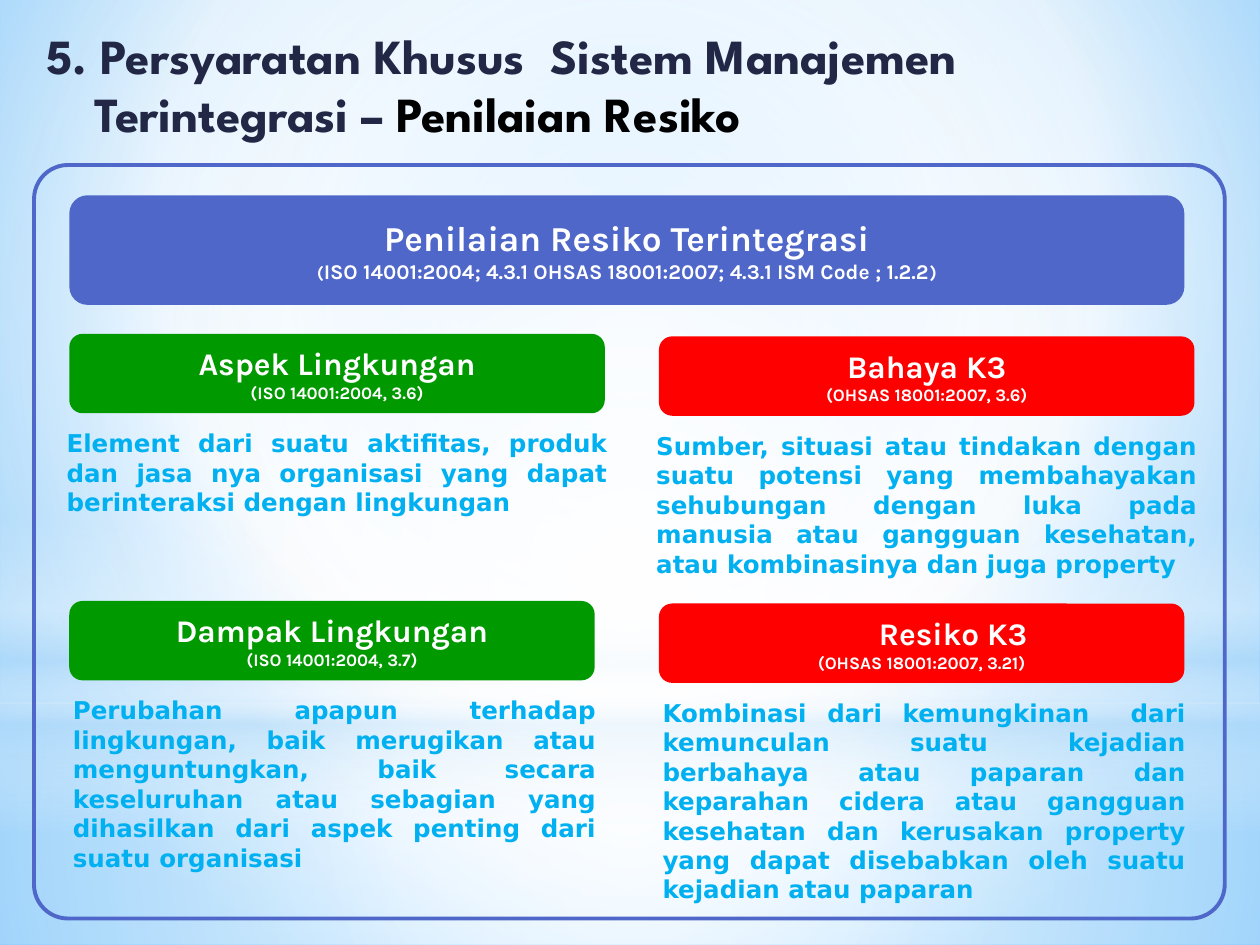
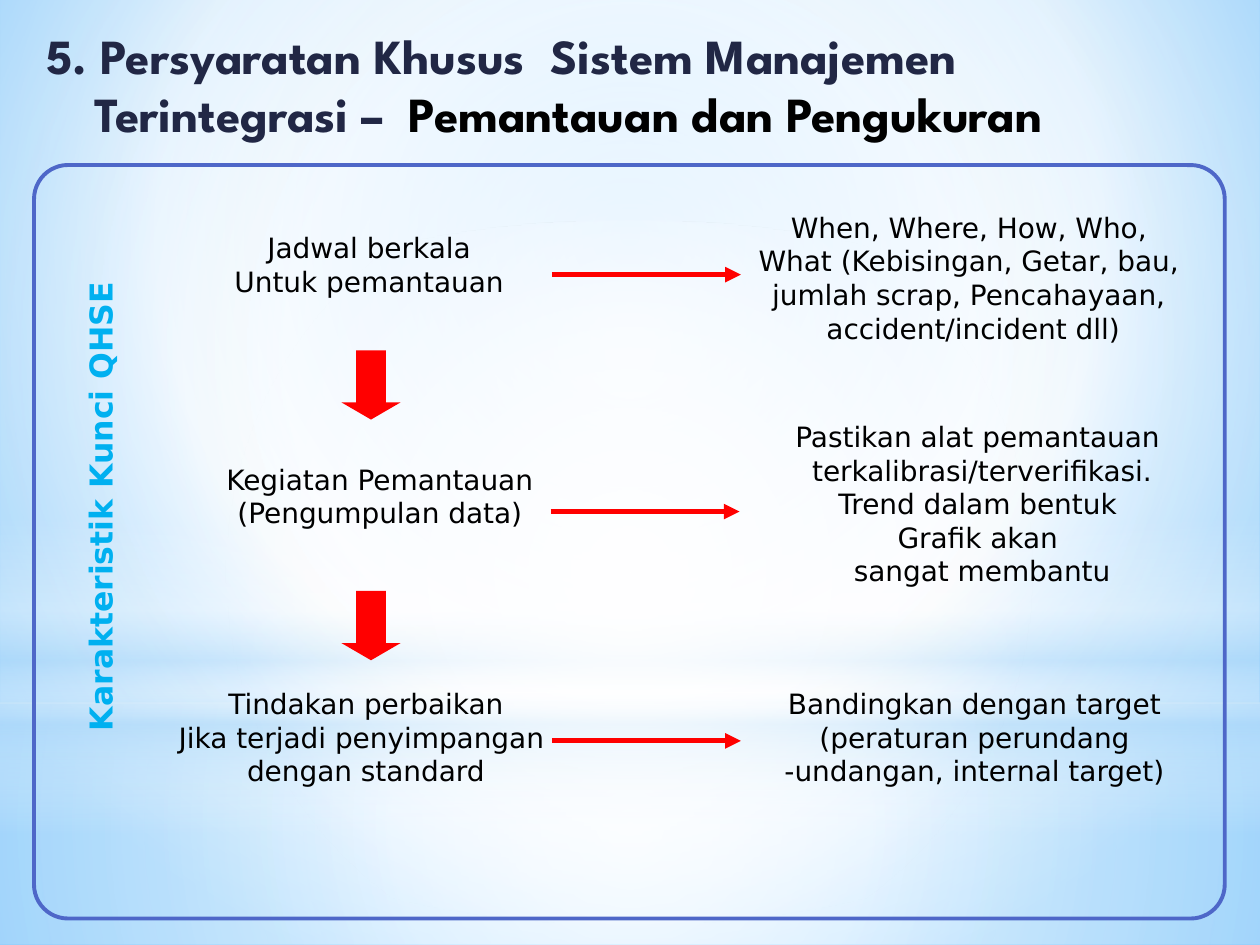
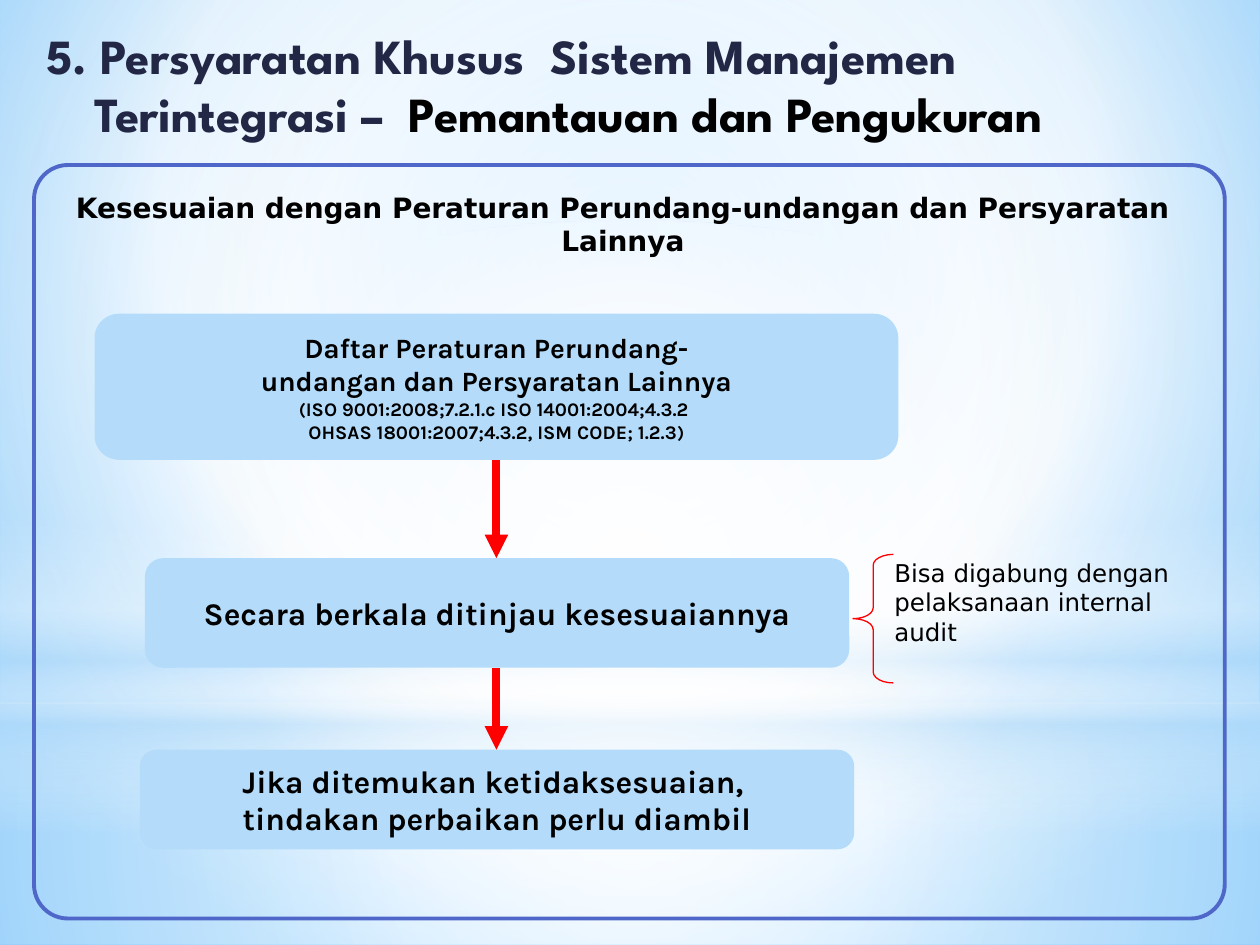
from dataclasses import dataclass

from pptx import Presentation
from pptx import oxml
from pptx import util as u
from pptx.dml.color import RGBColor
from pptx.enum import shapes, text
from pptx.oxml import ns

SCALE = 9144  # EMU in one px, 100 px to the inch


@dataclass(frozen=True)
class Theme:
    navy: str = "212745"
    black: str = "000000"
    white: str = "FFFFFF"
    indigo: str = "4E67C8"
    green: str = "009900"
    red: str = "FF0000"
    cyan: str = "00B0F0"
    pale: str = "B4DCFA"
    sky: str = "9ED5FF"
    deep_sky: str = "5BB9FF"
    title_font: str = "League Spartan"
    box_font: str = "Karla"
    body_font: str = "DejaVu Sans"
    title: float = 28
    banner: float = 20
    heading: float = 18
    step: float = 16
    body: float = 14
    citation: float = 12
    note: float = 11
    bracket: float = 10.5
    small: float = 10
    hanging: int = 38


@dataclass(frozen=True)
class Box:
    x: int
    y: int
    w: int
    h: int

    def inner(self, x, y, w, h):
        """Box whose offset is counted from this box's corner."""
        return Box(self.x + x, self.y + y, w, h)

    def emu(self):
        return [px(value) for value in (self.x, self.y, self.w, self.h)]


@dataclass(frozen=True)
class Run:
    text: str
    size: float = None
    color: str = None


@dataclass(frozen=True)
class Indented:
    """A second-level paragraph."""
    text: str
    margin: int = 50


THEME = Theme()
PAGE = Box(0, 0, 1000, 750)
PANEL = Box(27, 131, 945, 598)
TITLE = Box(27, 15, 945, 105)
CENTER, JUSTIFY = text.PP_ALIGN.CENTER, text.PP_ALIGN.JUSTIFY
ROUNDED = shapes.MSO_SHAPE.ROUNDED_RECTANGLE


def px(value):
    return u.Emu(int(value * SCALE))


def rgb(color):
    return RGBColor.from_string(color)


def write(frame, *paragraphs, size, font=THEME.body_font, color=THEME.black,
          bold=False, align=None, hanging=0, wrap=True):
    """Fill a text frame; a paragraph is a string, an Indented or a list of Runs."""
    frame.word_wrap = wrap
    for index, content in enumerate(paragraphs):
        paragraph = frame.paragraphs[0] if index == 0 else frame.add_paragraph()
        paragraph.alignment = align
        margin, indent = hanging, -hanging
        if isinstance(content, Indented):
            paragraph.level = 1
            margin, indent = content.margin, 0
        properties = paragraph._p.get_or_add_pPr()
        properties.set("marL", str(px(margin)))
        properties.set("indent", str(px(indent)))
        for part in content if isinstance(content, list) else [content]:
            part = part if isinstance(part, Run) else Run(getattr(part, "text", part))
            run = paragraph.add_run()
            run.text = part.text
            run.font.name = font
            run.font.size = u.Pt(part.size or size)
            run.font.bold = bold
            run.font.color.rgb = rgb(part.color or color)


def add_text(slide, box, *paragraphs, rotation=0, **style):
    shape = slide.shapes.add_textbox(*box.emu())
    shape.rotation = rotation
    write(shape.text_frame, *paragraphs, **style)
    shape.text_frame.auto_size = text.MSO_AUTO_SIZE.SHAPE_TO_FIT_TEXT


def add_shape(slide, kind, box, fill=None, line=None, width=1, adjustments=()):
    shape = slide.shapes.add_shape(kind, *box.emu())
    shape.shadow.inherit = False
    for index, value in enumerate(adjustments):
        shape.adjustments[index] = value
    if fill:
        shape.fill.solid()
        shape.fill.fore_color.rgb = rgb(fill)
    else:
        shape.fill.background()
    if line:
        shape.line.color.rgb = rgb(line)
        shape.line.width = u.Pt(width)
    else:
        shape.line.fill.background()
    return shape


def add_label(slide, box, fill, *paragraphs, size, color=THEME.white):
    """Rounded box with bold centred text."""
    frame = add_shape(slide, ROUNDED, box, fill).text_frame
    frame.vertical_anchor = text.MSO_ANCHOR.MIDDLE
    write(frame, *paragraphs, size=size, font=THEME.box_font, color=color,
          bold=True, align=CENTER, hanging=THEME.hanging, wrap=False)


def add_arrow(slide, start, end, width):
    ends = [px(value) for value in (*start, *end)]
    arrow = slide.shapes.add_connector(shapes.MSO_CONNECTOR.STRAIGHT, *ends)
    arrow.line.color.rgb = rgb(THEME.red)
    arrow.line.width = u.Pt(width)
    line = arrow.line._get_or_add_ln()
    line.append(oxml.parse_xml(f'<a:tailEnd {ns.nsdecls("a")} type="triangle"/>'))
    line.addnext(oxml.parse_xml(f'<a:effectLst {ns.nsdecls("a")}/>'))


def set_gradient(properties, stops, focus=None):
    """Replace a solid fill; stops are (position, colour, opacity) in percent."""
    marks = "".join(
        f'<a:gs pos="{place * 1000}"><a:srgbClr val="{color}">'
        f'<a:alpha val="{opacity * 1000}"/></a:srgbClr></a:gs>'
        for place, color, opacity in stops)
    direction = '<a:lin ang="5400000" scaled="0"/>'
    if focus:
        sides = " ".join(f'{side}="{value * 1000}"' for side, value in zip("ltrb", focus))
        direction = f'<a:path path="circle"><a:fillToRect {sides}/></a:path>'
    properties.replace(
        properties.find(ns.qn("a:solidFill")),
        oxml.parse_xml(f'<a:gradFill {ns.nsdecls("a")} rotWithShape="1">'
                       f'<a:gsLst>{marks}</a:gsLst>{direction}</a:gradFill>'))


def paint_master(master, slide):
    """Put the sky backdrop on the master, drawing its layers by way of a slide."""
    white, pale = THEME.white, THEME.pale
    middle = (50, 50, 50, 50)
    rectangle, oval = shapes.MSO_SHAPE.RECTANGLE, shapes.MSO_SHAPE.OVAL
    layers = [
        (rectangle, PAGE.inner(0, 558, PAGE.w, 192), middle,
         [(0, white, 91), (37, white, 76), (100, pale, 79)]),
        (rectangle, PAGE.inner(0, 0, PAGE.w, 558), middle,
         [(0, white, 89), (48, white, 62), (100, pale, 79)]),
        (rectangle, PAGE.inner(0, 412, PAGE.w, 250), None,
         [(0, white, 0), (29, white, 30), (45, pale, 40),
          (55, white, 26), (65, pale, 60), (100, white, 0)]),
        (oval, PAGE.inner(0, 175, PAGE.w, 558), middle,
         [(0, white, 100), (56, white, 0)]),
    ]
    master.background.fill.solid()
    set_gradient(master.element.xpath("./p:cSld/p:bg/p:bgPr")[0],
                 [(0, THEME.sky, 100), (60, white, 100), (100, THEME.deep_sky, 100)],
                 (20, 10, 20, 60))
    for number, (kind, box, focus, stops) in enumerate(layers, 101):
        layer = add_shape(slide, kind, box, white)
        set_gradient(layer.element.spPr, stops, focus)
        layer.element.nvSpPr.cNvPr.set("id", str(number))
        master.shapes.element.append(layer.element)


def add_frame_and_title(slide, topic, gap=" "):
    add_shape(slide, ROUNDED, PANEL, line=THEME.indigo, width=2.25, adjustments=[0.045])
    lead = "5. Persyaratan Khusus  Sistem Manajemen  Terintegrasi –" + gap
    add_text(slide, TITLE, [Run(lead), Run(topic, color=THEME.black)],
             size=THEME.title, font=THEME.title_font, color=THEME.navy,
             bold=True, hanging=THEME.hanging)


def add_definition(slide, box, fill, heading, clause, body, shift, body_box):
    """Coloured heading with its justified definition below."""
    add_label(slide, box, fill, heading, [Run(clause, THEME.small)], size=THEME.heading)
    add_text(slide, box.inner(-shift, 70, *body_box), body, size=THEME.body,
             color=THEME.cyan, bold=True, align=JUSTIFY)


def build_risk_slide(slide, panel):
    add_label(slide, panel.inner(28, 24, 885, 87), THEME.indigo,
              "Penilaian Resiko Terintegrasi",
              [Run("(", THEME.small),
               Run("ISO 14001:2004; 4.3.1 OHSAS 18001:2007; 4.3.1 ISM Code ; 1.2.2",
                   THEME.citation),
               Run(")", THEME.bracket)],
              size=THEME.banner)
    columns = [
        (28, 0, THEME.green, [
            ("Aspek Lingkungan", "(ISO 14001:2004, 3.6)", 81,
             "Element dari suatu aktifitas, produk dan jasa nya organisasi yang dapat "
             "berinteraksi dengan lingkungan"),
            ("Dampak Lingkungan", "(ISO 14001:2004, 3.7)", 151,
             "Perubahan apapun terhadap lingkungan, baik merugikan atau menguntungkan, "
             "baik secara keseluruhan atau sebagian yang dihasilkan dari aspek penting "
             "dari suatu organisasi")]),
        (496, 2, THEME.red, [
            ("Bahaya K3", "(OHSAS 18001:2007, 3.6)", 128,
             "Sumber, situasi atau tindakan dengan suatu potensi yang membahayakan "
             "sehubungan dengan luka pada manusia atau gangguan kesehatan, atau "
             "kombinasinya dan juga property"),
            (Indented("Resiko K3"), "(OHSAS 18001:2007, 3.21)", 175,
             "Kombinasi dari kemungkinan  dari kemunculan suatu kejadian berbahaya atau "
             "paparan dan keparahan cidera atau gangguan kesehatan dan kerusakan property "
             "yang dapat disebabkan oleh suatu kejadian atau paparan")]),
    ]
    rows = [(134, 425, 12, 449), (346, 417, 7, 435)]
    for x, drop, fill, definitions in columns:
        for row, (heading, clause, height, body) in zip(rows, definitions):
            y, width, shift, body_width = row
            add_definition(slide, panel.inner(x, y + drop, width, 63), fill,
                           heading, clause, body, shift, (body_width, height))


def build_monitoring_slide(slide, panel):
    add_text(slide, panel.inner(-187, 251, 479, 40), "Karakteristik Kunci QHSE",
             rotation=270, size=THEME.heading, color=THEME.cyan, bold=True, align=CENTER)
    rows = [
        ((149, 47, 234, 69), ["Jadwal berkala", "Untuk pemantauan"],
         (411, 87),
         (561, 31, 369, 134), ["When, Where, How, Who, ", "What (Kebisingan, Getar, bau, ",
                               "jumlah scrap, Pencahayaan, ", "accident/incident dll)"]),
        ((142, 231, 265, 69), ["Kegiatan Pemantauan", "(Pengumpulan data)"],
         (410, 275),
         (583, 197, 339, 165), ["Pastikan alat pemantauan ", "terkalibrasi/terverifikasi.",
                                "Trend dalam bentuk ", "Grafik akan ", "sangat membantu"]),
        ((102, 409, 323, 101), ["Tindakan perbaikan", "Jika terjadi penyimpangan ",
                                "dengan standard"],
         (411, 457),
         (583, 409, 327, 101), ["Bandingkan dengan target", "(peraturan perundang",
                                "-undangan, internal target)"]),
    ]
    for step_box, step, (x, y), detail_box, detail in rows:
        for box, lines in ((step_box, step), (detail_box, detail)):
            add_text(slide, panel.inner(*box), *lines, size=THEME.step, align=CENTER,
                     hanging=THEME.hanging, wrap=len(lines) == 5)
        start = panel.inner(x, y, 150, 0)
        add_arrow(slide, (start.x, start.y), (start.x + start.w, start.y), 3)
    for y in (147, 338):
        add_shape(slide, shapes.MSO_SHAPE.DOWN_ARROW, panel.inner(244, y, 47, 55),
                  THEME.red, adjustments=[0.5, 0.29])


def build_compliance_slide(slide, panel):
    add_text(slide, panel.inner(21, 15, 893, 64),
             "Kesesuaian dengan Peraturan Perundang-undangan dan Persyaratan Lainnya",
             size=THEME.step, bold=True, align=CENTER)
    axis = 367
    steps = [
        (118, 638, 116, THEME.step,
         ["Daftar Peraturan Perundang-", "undangan dan Persyaratan Lainnya",
          [Run("(", THEME.small),
           Run("ISO 9001:2008;7.2.1.c ISO 14001:2004;4.3.2 ", THEME.note)],
          [Run("OHSAS 18001:2007;4.3.2, ISM CODE; 1.2.3", THEME.note),
           Run(")", THEME.small)]]),
        (312, 559, 87, THEME.heading, ["Secara berkala ditinjau kesesuaiannya"]),
        (464, 567, 79, THEME.heading,
         ["Jika ditemukan ketidaksesuaian, ", "tindakan perbaikan perlu diambil"]),
    ]
    boxes = [panel.inner(axis - width // 2, y, width, height)
             for y, width, height, _, _ in steps]
    for box, (_, _, _, size, lines) in zip(boxes, steps):
        add_label(slide, box, THEME.pale, *lines, size=size, color=THEME.black)
    for upper, lower in zip(boxes, boxes[1:]):
        x = panel.x + axis
        add_arrow(slide, (x, upper.y + upper.h), (x, lower.y), 4.5)
    add_shape(slide, shapes.MSO_SHAPE.LEFT_BRACE, panel.inner(650, 309, 32, 102),
              line=THEME.red, width=0.75, adjustments=[0.27, 0.5])
    add_text(slide, panel.inner(673, 307, 273, 90), "Bisa digabung dengan",
             "pelaksanaan internal", "audit", size=THEME.body, hanging=THEME.hanging)


def main():
    presentation = Presentation()
    presentation.slide_width, presentation.slide_height = px(PAGE.w), px(PAGE.h)
    monitoring = "Pemantauan dan Pengukuran"
    pages = [
        (build_risk_slide, "Penilaian Resiko", " "),
        (build_monitoring_slide, monitoring, "  "),
        (build_compliance_slide, monitoring, "  "),
    ]
    slides = [presentation.slides.add_slide(presentation.slide_layouts[6]) for _ in pages]
    paint_master(presentation.slide_master, slides[0])
    for slide, (build, topic, gap) in zip(slides, pages):
        build(slide, PANEL)
        add_frame_and_title(slide, topic, gap)
    presentation.save("out.pptx")


if __name__ == "__main__":
    main()
